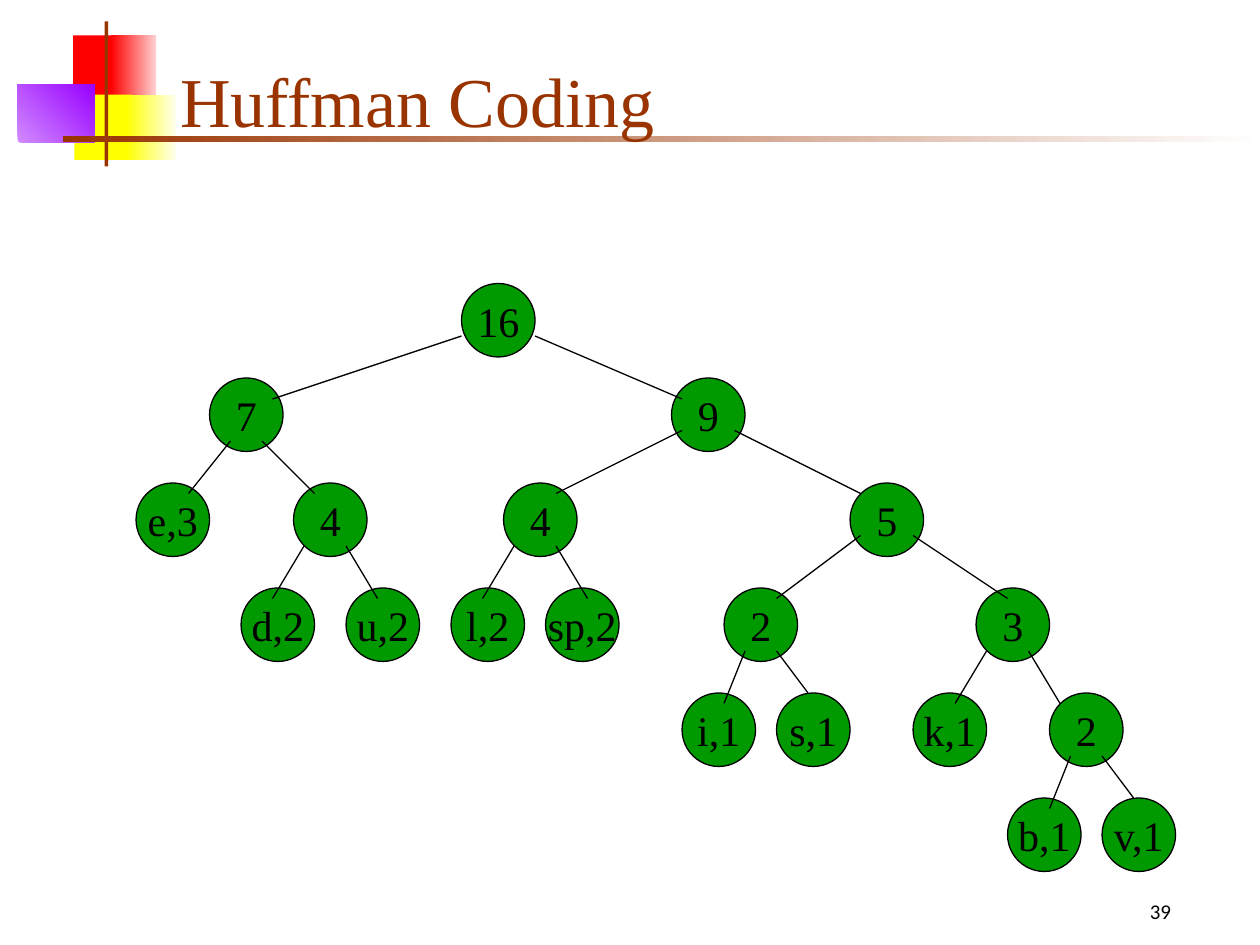
from dataclasses import dataclass
from lxml.etree import SubElement
from pptx import Presentation
from pptx.dml.color import RGBColor
from pptx.enum.shapes import MSO_CONNECTOR as Link, MSO_SHAPE as Shape
from pptx.enum.text import MSO_ANCHOR as Anchor, MSO_AUTO_SIZE as Fit, PP_ALIGN as Align
from pptx.oxml.ns import qn
from pptx.util import Inches, Pt

RED = RGBColor(0xFF, 0x00, 0x00)
PINK = RGBColor(0xFF, 0xD1, 0xD1)
YELLOW = RGBColor(0xFF, 0xFF, 0x00)
CREAM = RGBColor(0xFF, 0xFF, 0xF0)
LILAC = RGBColor(0xD1, 0x8B, 0xFF)
PURPLE = RGBColor(0x99, 0x00, 0xFF)
BROWN = RGBColor(0x99, 0x33, 0x00)
WHITE = RGBColor(0xFF, 0xFF, 0xFF)
GREEN = RGBColor(0x00, 0x99, 0x00)
BLACK = RGBColor(0x00, 0x00, 0x00)

SERIF = "Times New Roman"
STEP = 1 / 12  # grid unit of the tree, in inches
SIZE = 7  # node diameter, in grid units
ROWS = (0, 9, 19, 29, 39, 49)  # top of each tree level, in grid units
THIN = Pt(0.74)


@dataclass
class Node:
    """A tree node, measured in grid units.

    hit is where the edge from above ends, measured from the node's corner;
    exits and drop are where the edges to the two kids begin.
    """
    text: str
    x: int
    hit: tuple = (3, 1)
    exits: tuple = (1, 5)
    drop: int = 6
    kids: tuple = ()


DU = Node("4", 15, (2, 1), kids=(Node("d,2", 10), Node("u,2", 20)))
LSP = Node("4", 35, (5, 1), kids=(Node("l,2", 30), Node("sp,2", 39, (4, 1))))
IS = Node("2", 56, (5, 1), exits=(2, 5),
          kids=(Node("i,1", 52, (4, 1)), Node("s,1", 61, (3, 0))))
BV = Node("2", 87, (1, 1), exits=(2, 5),
          kids=(Node("b,1", 83, (4, 1)), Node("v,1", 92, (3, 0))))
KBV = Node("3", 80, kids=(Node("k,1", 74, (4, 1)), BV))
FIVE = Node("5", 68, (1, 1), exits=(1, 6), drop=5, kids=(IS, KBV))
NINE = Node("9", 51, (1, 2), exits=(1, 6), drop=5, kids=(LSP, FIVE))
SEVEN = Node("7", 7, (6, 2), exits=(2, 5), kids=(Node("e,3", 0, (5, 1)), DU))
TREE = Node("16", 31, exits=(0, 7), drop=5, kids=(SEVEN, NINE))


def write(frame, text, size=24, font=SERIF, color=BLACK, align=Align.CENTER,
          anchor=Anchor.MIDDLE, wrap=False, before=0):
    """Put one formatted paragraph into a text frame."""
    frame.auto_size = Fit.NONE
    frame.word_wrap = wrap
    frame.vertical_anchor = anchor
    par = frame.paragraphs[0]
    par.alignment = align
    par.space_before = Pt(before)
    run = par.add_run()
    run.text = text
    run.font.size = Pt(size)
    run.font.name = font
    run.font.color.rgb = color


def block(slide, box, start, end=None, angle=0):
    """Draw a borderless rectangle, plain or with a gradient."""
    rect = slide.shapes.add_shape(Shape.RECTANGLE, *map(Inches, box))
    rect.shadow.inherit = False
    rect.line.fill.background()
    if end is None:
        rect.fill.solid()
        rect.fill.fore_color.rgb = start
        return
    rect.fill.gradient()
    rect.fill.gradient_angle = angle
    for stop, color in zip(rect.fill.gradient_stops, (start, end)):
        stop.color.rgb = color


def add_decor(slide, left, top):
    """Draw the coloured blocks and the two rules beside the title."""
    parts = (
        ((0.44, 0.11, 0.35, 0.52), RED),
        ((0.74, 0.11, 0.36, 0.52), RED, PINK),
        ((0.45, 0.58, 0.46, 0.52), YELLOW),
        ((0.86, 0.58, 0.40, 0.52), YELLOW, CREAM),
        ((0, 0.50, 0.61, 0.46), LILAC, PURPLE, 45),
        ((0.69, 0, 0.03, 1.15), BROWN),
        ((0.36, 0.91, 9.50, 0.05), BROWN, WHITE),
    )
    for (x, y, wide, high), *look in parts:
        block(slide, (left + x, top + y, wide, high), *look)


def add_title(slide, text, left, top, wide, high):
    """Move and fill the title placeholder, in front of what is drawn."""
    title = slide.shapes.title
    title.left, title.top, title.width, title.height = map(
        Inches, (left, top, wide, high))
    write(title.text_frame, text, size=40, color=BROWN, align=Align.LEFT,
          anchor=Anchor.BOTTOM, wrap=True)
    title._element.getparent().append(title._element)


def add_page(slide, text, left, top, wide, high):
    """Write the page number."""
    box = slide.shapes.add_textbox(*map(Inches, (left, top, wide, high)))
    write(box.text_frame, text, size=12, font="Calibri", anchor=Anchor.TOP,
          wrap=True, before=7.5)


def add_edge(slide, start, end):
    """Draw a thin black line between two points in inches."""
    edge = slide.shapes.add_connector(
        Link.STRAIGHT, *map(Inches, (*start, *end)))
    edge.line.color.rgb = BLACK
    edge.line.width = THIN
    SubElement(edge._element.spPr, qn("a:effectLst"))


def add_tree(slide, node, left, top, level=0):
    """Draw the kids, then the node, then the edges between them."""
    def spot(x, y):
        """Turn grid units into inches on the slide."""
        return left + x * STEP, top + y * STEP

    for kid in node.kids:
        add_tree(slide, kid, left, top, level + 1)
    row = ROWS[level]
    disc = slide.shapes.add_shape(Shape.OVAL, *map(
        Inches, (*spot(node.x, row), SIZE * STEP, SIZE * STEP)))
    disc.shadow.inherit = False
    disc.fill.solid()
    disc.fill.fore_color.rgb = GREEN
    disc.line.color.rgb = BLACK
    disc.line.width = THIN
    write(disc.text_frame, node.text)
    for out, kid in zip(node.exits, node.kids):
        dx, dy = kid.hit
        add_edge(slide, spot(node.x + out, row + node.drop),
                 spot(kid.x + dx, ROWS[level + 1] + dy))


def main():
    """Build and save the slide."""
    deck = Presentation()
    deck.slide_width, deck.slide_height = Inches(10), Inches(7.5)
    slide = deck.slides.add_slide(deck.slide_layouts.get_by_name("Title Only"))
    add_decor(slide, 0.14, 0.17)
    add_page(slide, "39", 8.67, 7.08, 1.08, 0.33)
    add_title(slide, "Huffman Coding", 1.33, 0.25, 8.52, 0.92)
    add_tree(slide, TREE, 1.08, 2.25)
    deck.save("out.pptx")


main()
